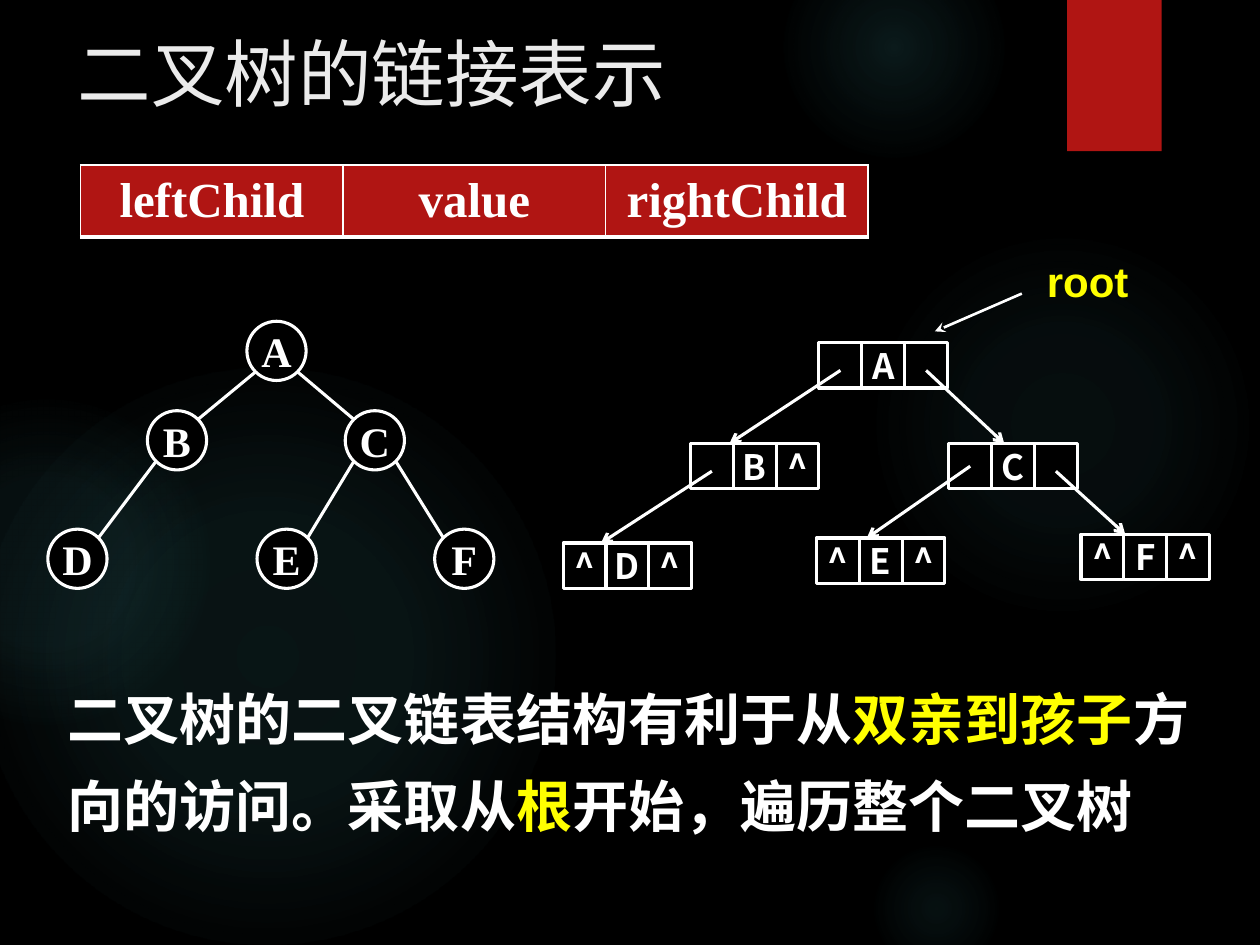
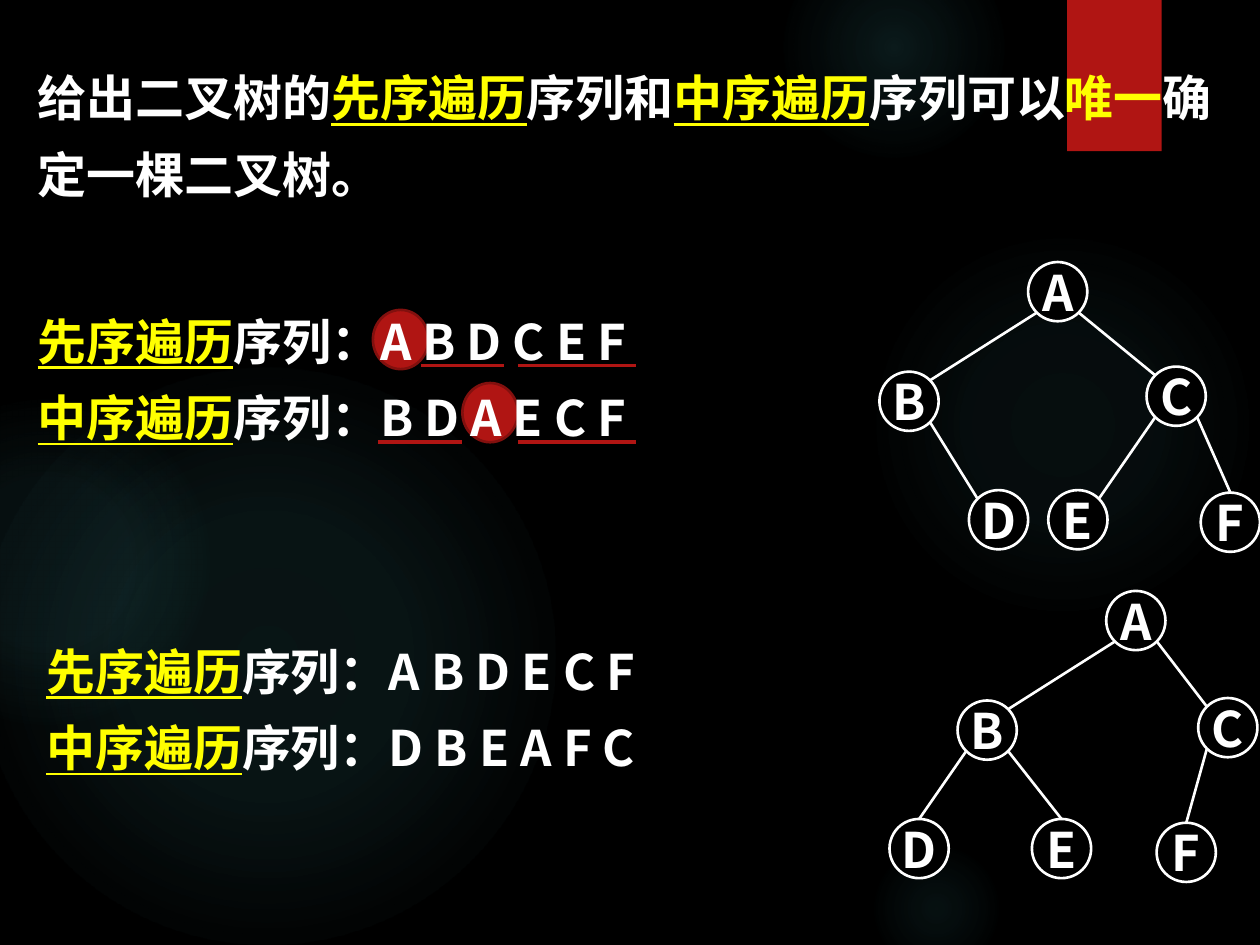
"""Build two slides on linked binary trees and on rebuilding trees from traversals."""
from lxml.etree import SubElement
from pptx import Presentation
from pptx.dml.color import RGBColor
from pptx.enum.shapes import MSO_CONNECTOR, MSO_SHAPE
from pptx.enum.text import MSO_ANCHOR, PP_ALIGN
from pptx.oxml import parse_xml
from pptx.oxml.ns import nsdecls, qn
from pptx.util import Inches, Pt

WHITE, BLACK, YELLOW, RED = "FFFFFF", "000000", "FFFF00", "B01513"
DARK_RED, TITLE_GREY, GLOW = "82100E", "EBEBEB", "50B9C1"
SANS, SERIF, ARIAL = "Noto Sans CJK SC", "Times New Roman", "Arial"
NODE, CELL_W, CELL_H = 0.47, 0.34, 0.36

GLOWS = [
    (6.89, 1.83, 3.08, [(0, 7), (36, 6), (69, 0)]),
    (6.22, -0.5, 1.75, [(0, 14), (36, 7), (73, 0)]),
    (6.89, 6.67, 1.08, [(0, 9), (36, 5), (66, 0)]),
    (-0.17, 2.92, 4.58, [(0, 11), (36, 10), (75, 0)]),
    (-0.92, 3.17, 2.58, [(0, 8), (36, 8), (72, 0)]),
]
BAND = (8.47, 0, 0.75, 1.2)

TITLE = "二叉树的链接表示"
FIELDS = ["leftChild", "value", "rightChild"]
SUMMARY = [[("二叉树的二叉链表结构有利于从", WHITE), ("双亲到孩子", YELLOW),
            ("方向的访问。采取从", WHITE), ("根", YELLOW),
            ("开始，遍历整个二叉树", WHITE)]]
LINKED_TREE = {
    "nodes": {"A": (1.96, 2.55), "B": (1.17, 3.26), "C": (2.74, 3.26),
              "D": (0.38, 4.2), "E": (2.04, 4.2), "F": (3.45, 4.2)},
    "edges": ["AB", "AC", "BD", "CE", "CF"], "top": "",
}
RECORDS = {
    "A": (6.5, 2.72, " A "), "B": (5.48, 3.52, " B^"), "C": (7.53, 3.52, " C "),
    "D": (4.47, 4.31, "^D^"), "E": (6.48, 4.27, "^E^"), "F": (8.58, 4.24, "^F^"),
}
POINTERS = [("A", 0, 0.22, "B", 0.31), ("B", 0, 0.22, "D", 0.3),
            ("A", 2, 0.22, "C", 0.44), ("C", 0, 0.18, "E", 0.4),
            ("C", 2, 0.22, "F", 0.35)]

CLAIM = [[("给出二叉树的", WHITE), ("先序遍历", YELLOW, True), ("序列和", WHITE),
          ("中序遍历", YELLOW, True), ("序列可以", WHITE), ("唯一", YELLOW),
          ("确定一棵二叉树。", WHITE)]]
SEQUENCES = [(0.2, 2.28, "A B D C E F", "B D A E C F"),
             (0.27, 4.9, "A B D E C F", "D B E A F C")]
ROOT_MARKS = [(3.67, 3.04), (2.96, 2.46)]
SUBTREE_LINES = [(3, 3.67, 3.51), (4.11, 5.05, 3.51), (3.34, 4, 2.9), (4.11, 5.05, 2.9)]
REBUILT_TREES = [
    {"nodes": {"A": (8.16, 2.08), "B": (6.98, 2.95), "C": (9.1, 2.91),
               "D": (7.69, 3.89), "E": (8.32, 3.89), "F": (9.53, 3.91)},
     "edges": ["AB", "AC", "BD", "CE", "CF"], "top": "F"},
    {"nodes": {"A": (8.78, 4.69), "B": (7.6, 5.56), "C": (9.51, 5.54),
               "D": (7.06, 6.5), "E": (8.19, 6.5), "F": (9.18, 6.53)},
     "edges": ["AB", "AC", "BD", "BE", "CF"], "top": "DEF"},
]


def rgb(color):
    return RGBColor.from_string(color)


def write(tf, paras, size=28, font=SANS, bold=True, align=None, spacing=None, wrap=True):
    tf.word_wrap = wrap
    for i, runs in enumerate(paras):
        p = tf.paragraphs[0] if i == 0 else tf.add_paragraph()
        p.alignment, p.line_spacing = align, spacing
        for text, color, *underline in runs:
            r = p.add_run()
            r.text = text
            f = r.font
            f.size, f.name, f.bold = Pt(size), font, bold
            f.underline = bool(underline)
            f.color.rgb = rgb(color)
            if font == SANS:
                SubElement(r._r.get_or_add_rPr(), qn("a:ea")).set("typeface", font)


def add_text(s, at, paras, **fmt):
    write(s.shapes.add_textbox(*map(Inches, at)).text_frame, paras, **fmt)


def add_box(s, kind, at, fill, line=None, width=1.5, text="", **fmt):
    sp = s.shapes.add_shape(kind, *map(Inches, at))
    sp.shadow.inherit = False
    sp.fill.solid()
    sp.fill.fore_color.rgb = rgb(fill)
    if line:
        sp.line.color.rgb = rgb(line)
        sp.line.width = Pt(width)
    else:
        sp.line.fill.background()
    if text.strip():
        tf = sp.text_frame
        tf.margin_left = tf.margin_right = tf.margin_top = tf.margin_bottom = 0
        tf.vertical_anchor = MSO_ANCHOR.MIDDLE
        write(tf, [[(text, WHITE)]], align=PP_ALIGN.CENTER, wrap=False, **fmt)
    return sp


def add_line(s, start, end, color=WHITE, width=1.5, head=None):
    c = s.shapes.add_connector(MSO_CONNECTOR.STRAIGHT, *map(Inches, (*start, *end)))
    c.line.color.rgb = rgb(color)
    c.line.width = Pt(width)
    spPr = c._element.spPr
    if head:
        SubElement(spPr.find(qn("a:ln")), qn("a:tailEnd")).set("type", head)
    SubElement(spPr, qn("a:effectLst"))
    return c


def add_glow(s, x, y, size, stops):
    sp = add_box(s, MSO_SHAPE.OVAL, (x, y, size, size), GLOW)
    gs = "".join(f'<a:gs pos="{pos * 1000}"><a:srgbClr val="{GLOW}">'
                 f'<a:alpha val="{alpha * 1000}"/></a:srgbClr></a:gs>' for pos, alpha in stops)
    grad = parse_xml(f'<a:gradFill {nsdecls("a")}><a:gsLst>{gs}</a:gsLst><a:path path="circle">'
                     '<a:fillToRect l="50000" t="50000" r="50000" b="50000"/></a:path></a:gradFill>')
    spPr = sp._element.spPr
    spPr.replace(spPr.find(qn("a:solidFill")), grad)


def new_slide(prs):
    s = prs.slides.add_slide(prs.slide_layouts[6])
    s.background.fill.solid()
    s.background.fill.fore_color.rgb = rgb(BLACK)
    for glow in GLOWS:
        add_glow(s, *glow)
    add_box(s, MSO_SHAPE.RECTANGLE, BAND, RED)
    return s


def add_tree(s, tree, width=1.5, **fmt):
    nodes, radius = tree["nodes"], NODE / 2
    diagonal = radius * 0.5 ** 0.5
    circles = {name: add_box(s, MSO_SHAPE.OVAL, (x, y, NODE, NODE), BLACK, WHITE, width, name, **fmt)
               for name, (x, y) in nodes.items()}
    for parent, child in tree["edges"]:
        (px, py), (cx, cy) = nodes[parent], nodes[child]
        lean = diagonal if cx > px else -diagonal
        start = px + radius + lean, py + radius + diagonal
        end = cx + radius - lean, cy + radius - diagonal
        c = add_line(s, start, end, width=width)
        if child in tree["top"]:
            c.end_connect(circles[child], 0)


def add_records(s):
    for x, y, cells in RECORDS.values():
        for i, text in enumerate(cells):
            add_box(s, MSO_SHAPE.RECTANGLE, (x + i * CELL_W, y, CELL_W, CELL_H),
                    BLACK, WHITE, 1.75, text, size=20)
    for parent, cell, drop, child, landing in POINTERS:
        (px, py, _), (cx, cy, _) = RECORDS[parent], RECORDS[child]
        add_line(s, (px + (cell + 0.5) * CELL_W, py + drop), (cx + landing, cy),
                 width=1.75, head="arrow")


def add_fields(s):
    frame = s.shapes.add_table(1, len(FIELDS), *map(Inches, (0.64, 1.31, 6.25, 0.57)))
    for cell, name in zip(frame.table.rows[0].cells, FIELDS):
        cell.vertical_anchor = MSO_ANCHOR.MIDDLE
        write(cell.text_frame, [[(name, WHITE)]], font=SERIF, align=PP_ALIGN.CENTER)
        tcPr = cell._tc.get_or_add_tcPr()
        for side, width in (("L", 1), ("R", 1), ("T", 1), ("B", 3)):
            ln = SubElement(tcPr, qn(f"a:ln{side}"), w=str(Pt(width)))
            SubElement(SubElement(ln, qn("a:solidFill")), qn("a:srgbClr"), val=WHITE)
        cell.fill.solid()
        cell.fill.fore_color.rgb = rgb(RED)


def linked_slide(prs):
    s = new_slide(prs)
    add_tree(s, LINKED_TREE, 1.75, size=24, font=SERIF)
    add_records(s)
    add_text(s, (0.44, 5.22, 9.41, 1.5), SUMMARY, size=32, spacing=1.3)
    add_line(s, (8.11, 2.33), (7.42, 2.63), head="stealth")
    add_text(s, (8.21, 1.98, 0.85, 0.51), [[("root", YELLOW)]], size=24, font=ARIAL, wrap=False)
    add_text(s, (0.52, 0.17, 7.9, 1), [[(TITLE, TITLE_GREY)]], size=42, font=SERIF, bold=False)
    add_fields(s)


def traversal_slide(prs):
    s = new_slide(prs)
    for x, y in ROOT_MARKS:
        add_box(s, MSO_SHAPE.OVAL, (x, y, 0.44, NODE), RED, DARK_RED)
    for x, y, *orders in SEQUENCES:
        add_text(s, (x, y, 5.9, 1.33),
                 [[(label, YELLOW, True), (f"序列：{order}", WHITE)]
                  for label, order in zip(("先序遍历", "中序遍历"), orders)], spacing=1.3)
    add_text(s, (0.2, 0.35, 9.6, 1.33), CLAIM, spacing=1.3)
    for tree in REBUILT_TREES:
        add_tree(s, tree)
    for left, right, y in SUBTREE_LINES:
        add_line(s, (left, y), (right, y), RED, 2)


def main():
    prs = Presentation()
    prs.slide_width, prs.slide_height = Inches(10), Inches(7.5)
    linked_slide(prs)
    traversal_slide(prs)
    prs.save("out.pptx")


if __name__ == "__main__":
    main()
